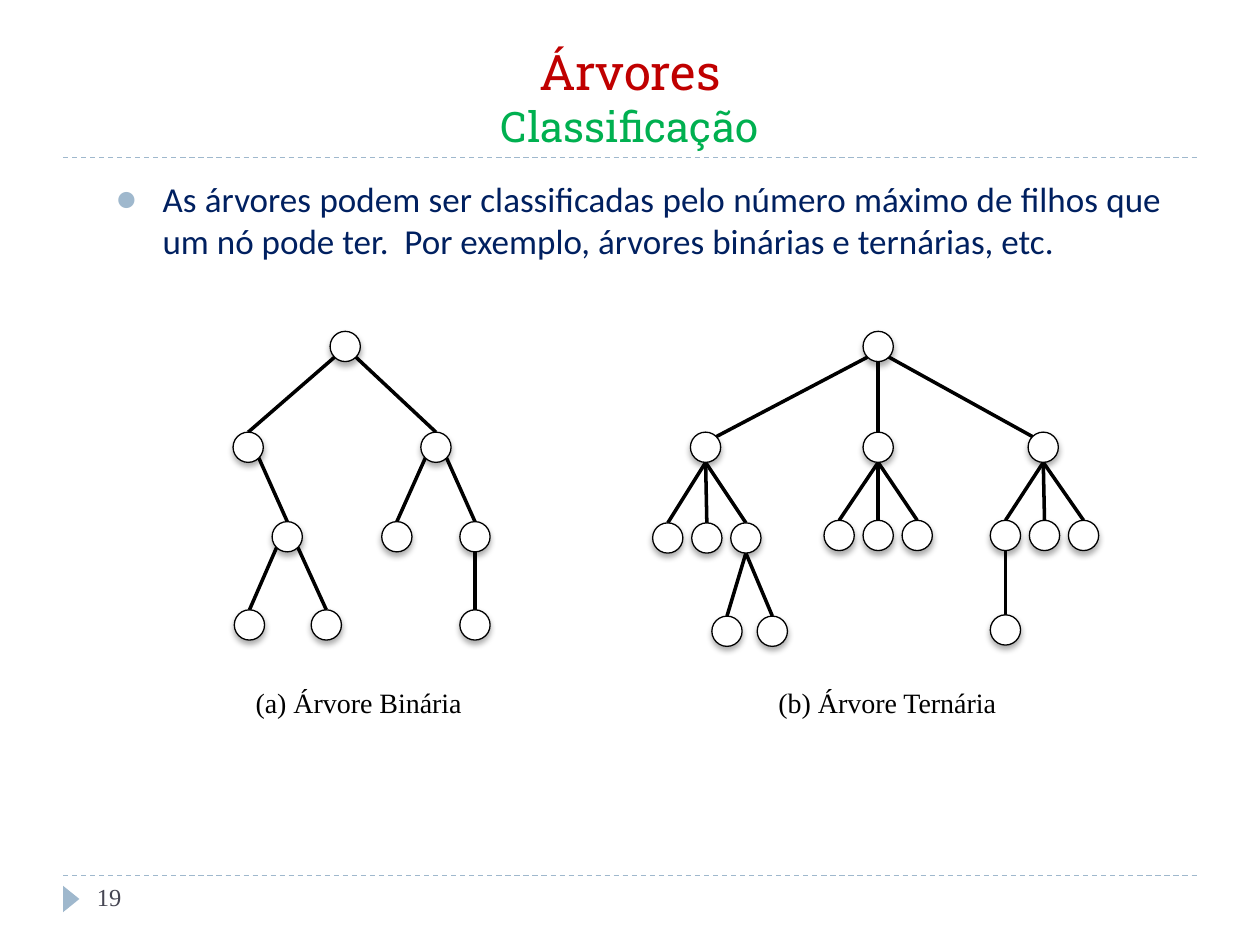
"""Build the slide that sorts trees by their greatest number of children."""
from dataclasses import dataclass

from lxml import etree
from pptx import Presentation
from pptx.dml.color import RGBColor
from pptx.enum.dml import MSO_LINE
from pptx.enum.shapes import MSO_CONNECTOR, MSO_SHAPE
from pptx.enum.text import MSO_ANCHOR, MSO_AUTO_SIZE, PP_ALIGN
from pptx.oxml import parse_xml
from pptx.oxml.ns import nsdecls, qn
from pptx.util import Inches, Pt

LINE, OVAL, WEDGE = MSO_CONNECTOR.STRAIGHT, MSO_SHAPE.OVAL, MSO_SHAPE.ISOSCELES_TRIANGLE
DASH, BOTTOM, FIXED = MSO_LINE.DASH, MSO_ANCHOR.BOTTOM, MSO_AUTO_SIZE.NONE
CENTER, JUST, LEFT = PP_ALIGN.CENTER, PP_ALIGN.JUSTIFY, PP_ALIGN.LEFT


@dataclass(frozen=True)
class Theme:
    """Colours and type styles: font, size, colour."""
    ink: str = "000000"
    paper: str = "FFFFFF"
    accent: str = "9FB8CD"
    head: tuple = ("Roboto Slab", 28, "C00000")
    sub: tuple = ("Roboto Slab", 24, "00B050")
    body: tuple = ("Calibri", 20, "002060")
    label: tuple = ("Times New Roman", 16, "000000")
    page: tuple = ("Times New Roman", 14, "464653")


THEME = Theme()
WIDE, HIGH, EDGE = 10, 7.5, 0.5
RULES = (1.25, 6.95)
NODE = 0.24
LEAN = 0.7
SPREAD = 0.31

TITLE = [("Árvores", THEME.head), ("Classificação", THEME.sub)]
BODY = ("As árvores podem ser classificadas pelo número máximo de filhos que "
        "um nó pode ter.  Por exemplo, árvores binárias e ternárias, etc.")
PAGE = "19"


def trio(name, x, y):
    """Give three leaves spread evenly under a node."""
    return {f"{name}{i}": (x + (i - 1) * SPREAD, y, name, 0, 0) for i in range(3)}


# Each node: centre x, centre y, parent, lean at parent, lean at child.
TREES = [
    ("(a) Árvore Binária", (1.93, 1.86), {
        "root": (2.74, 2.75, None, 0, 0),
        "l": (1.97, 3.55, "root", -1, 0),
        "r": (3.46, 3.55, "root", 1, 0),
        "lr": (2.28, 4.26, "l", 1, 0),
        "rl": (3.15, 4.26, "r", -1, 0),
        "rr": (3.77, 4.26, "r", 1, 0),
        "lrl": (1.98, 4.96, "lr", -1, 0),
        "lrr": (2.59, 4.96, "lr", 1, 0),
        "rrr": (3.77, 4.96, "rr", 0, 0),
    }),
    ("(b) Árvore Ternária", (6.08, 1.96), {
        "root": (6.97, 2.75, None, 0, 0),
        "l": (5.6, 3.55, "root", -1, 1),
        "m": (6.97, 3.55, "root", 0, 0),
        "r": (8.28, 3.55, "root", 1, -1),
        **trio("l", 5.61, 4.27),
        **trio("m", 6.97, 4.25),
        **trio("r", 8.29, 4.25),
        "l2l": (5.77, 5.01, "l2", 0, 0),
        "l2r": (6.13, 5.01, "l2", 0, 0),
        "r0m": (7.98, 5, "r0", 0, 0),
    }),
]


def rgb(code):
    return RGBColor.from_string(code)


def add_run(para, text, style):
    run = para.add_run()
    run.text = text
    run.font.name, size, tint = style
    run.font.size = Pt(size)
    run.font.color.rgb = rgb(tint)


def place(shape, *box):
    shape.left, shape.top, shape.width, shape.height = map(Inches, box)


def add_text(shapes, box, text, style):
    frame = shapes.add_textbox(*map(Inches, box)).text_frame
    frame.word_wrap = True
    frame.paragraphs[0].alignment = LEFT
    add_run(frame.paragraphs[0], text, style)


def add_line(shapes, start, end, tint, width):
    line = shapes.add_connector(LINE, *map(Inches, (*start, *end)))
    line.line.color.rgb = rgb(tint)
    line.line.width = Pt(width)
    etree.SubElement(line.element.spPr, qn("a:effectLst"))
    return line


def add_shape(shapes, kind, box, fill):
    shape = shapes.add_shape(kind, *map(Inches, box))
    shape.fill.solid()
    shape.fill.fore_color.rgb = rgb(fill)
    shape.line.fill.background()
    shape.shadow.inherit = False
    return shape


def add_node(shapes, x, y):
    node = add_shape(shapes, OVAL, (x - NODE / 2, y - NODE / 2, NODE, NODE), THEME.paper)
    node.line.color.rgb = rgb(THEME.ink)
    node.line.width = Pt(0.75)
    node.element.spPr.find(qn("a:effectLst")).append(parse_xml(
        f'<a:outerShdw {nsdecls("a")} blurRad="{Pt(3.5)}" dist="{Pt(2.2)}" dir="5400000" '
        f'rotWithShape="0"><a:srgbClr val="{THEME.ink}"><a:alpha val="32000"/>'
        '</a:srgbClr></a:outerShdw>'))


def port(x, y, lean, side):
    """Find where an edge meets a node: side is 1 below and -1 above."""
    half = NODE / 2
    return x + lean * LEAN * half, y + side * half * (LEAN if lean else 1)


def add_tree(slide, label, span, nodes):
    shapes = slide.shapes.add_group_shape().shapes
    for x, y, parent, out, into in nodes.values():
        if parent:
            add_line(shapes, port(*nodes[parent][:2], out, 1),
                     port(x, y, into, -1), THEME.ink, 2)
    for x, y, *_ in nodes.values():
        add_node(shapes, x, y)
    left, width = span
    add_text(shapes, (left, 5.39, width, 0.37), label, THEME.label)


def add_title(slide):
    title = slide.shapes.title
    place(title, EDGE, 0.25, WIDE - 2 * EDGE, 1)
    frame = title.text_frame
    frame.vertical_anchor, frame.auto_size = BOTTOM, FIXED
    para = frame.paragraphs[0]
    para.alignment = CENTER
    for i, (text, style) in enumerate(TITLE):
        if i:
            para.add_line_break()
        add_run(para, text, style)


def add_body(slide):
    body = slide.placeholders[1]
    place(body, 0.82, 1.36, 8.5, 0.82)
    body.text_frame.auto_size = FIXED
    para = body.text_frame.paragraphs[0]
    para.alignment, para.space_before = JUST, Pt(0)
    props = para._p.get_or_add_pPr()
    props.set("marL", str(Inches(0.37)))
    props.set("indent", str(-Inches(0.37)))
    tint = etree.SubElement(props, qn("a:buClr"))
    etree.SubElement(tint, qn("a:srgbClr"), val=THEME.accent)
    etree.SubElement(props, qn("a:buFont"), typeface="Calibri")
    etree.SubElement(props, qn("a:buChar"), char="●")
    add_run(para, BODY, THEME.body)


def main():
    deck = Presentation()
    deck.slide_width, deck.slide_height = Inches(WIDE), Inches(HIGH)
    slide = deck.slides.add_slide(deck.slide_layouts[1])
    for y in RULES:
        rule = add_line(slide.shapes, (EDGE, y), (WIDE - EDGE, y), THEME.accent, 0.75)
        rule.line.dash_style = DASH
    add_shape(slide.shapes, WEDGE, (0.46, 7.07, 0.21, 0.13), THEME.accent).rotation = 90
    add_title(slide)
    add_body(slide)
    add_text(slide.shapes, (0.67, RULES[1], 2.17, 0.4), PAGE, THEME.page)
    for tree in TREES:
        add_tree(slide, *tree)
    deck.save("out.pptx")


if __name__ == "__main__":
    main()
